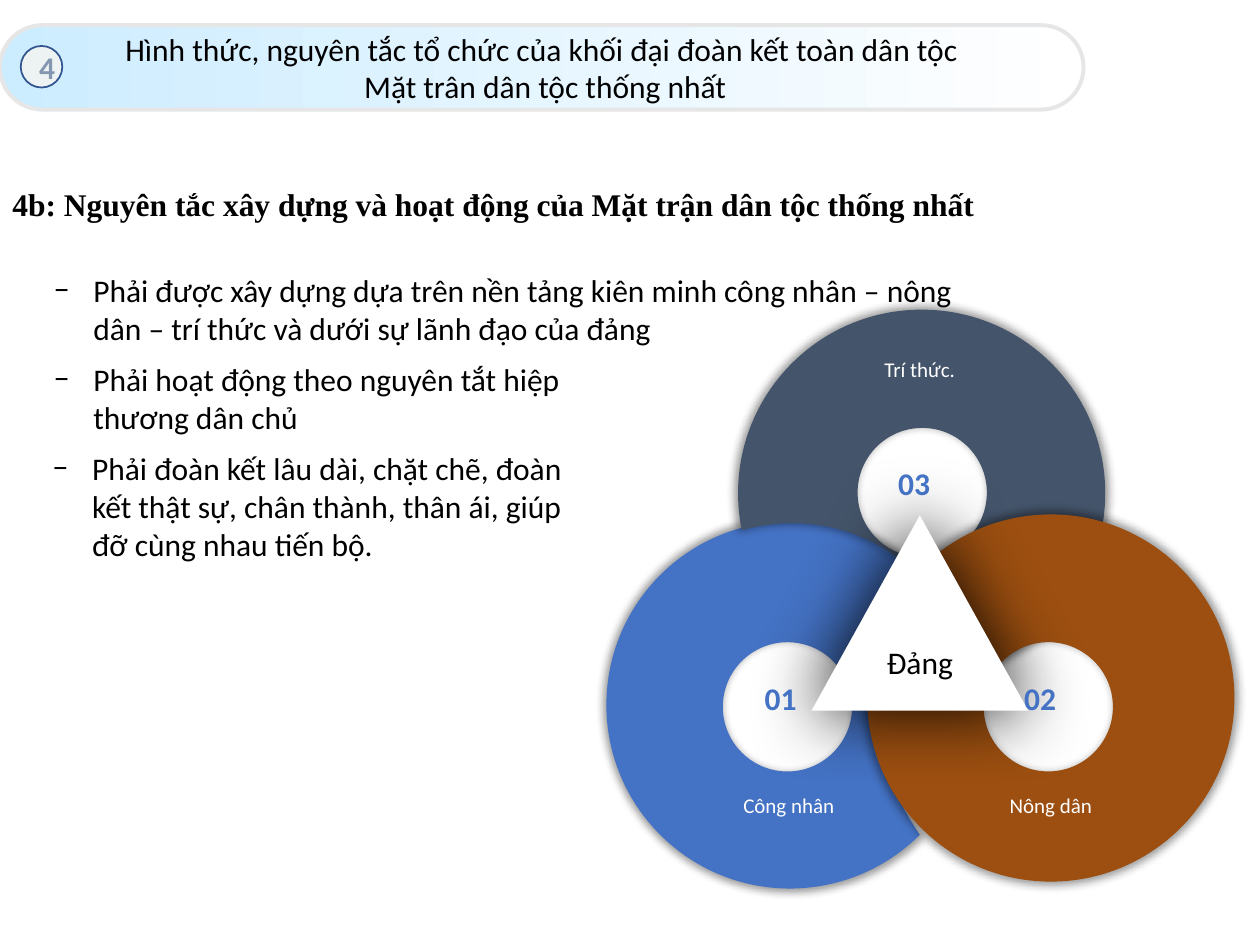
import math
from dataclasses import dataclass

from lxml import etree
from pptx import Presentation
from pptx import util as u
from pptx.dml.color import RGBColor
from pptx.enum import shapes, text
from pptx.oxml.ns import qn


@dataclass(frozen=True)
class Theme:
    body_font: str = "Calibri"
    heading_font: str = "Times New Roman"
    body_size: int = 18
    label_size: int = 12
    black: str = "000000"
    white: str = "FFFFFF"
    sky: str = "CCECFF"
    border: str = "E7E6E6"
    badge: str = "EDF3F3"
    badge_line: str = "325491"
    badge_text: str = "8497B0"
    blue: str = "4472C4"
    slate: str = "44546A"
    brown: str = "9C4F10"


THEME = Theme()
COLUMNS, ROWS = 100, 75
CELL = u.Inches(10) // COLUMNS
RING_RADIUS, HOLE_RADIUS, CUT_RADIUS = 14.57, 5.13, 14
ALIGN = text.PP_ALIGN


def grid(*cells):
    return [round(cell * CELL) for cell in cells]


def color(value):
    return RGBColor.from_string(value)


def write(box, words, ink=THEME.black, size=THEME.body_size,
          font=THEME.body_font, bold=False, align=ALIGN.LEFT):
    frame = box.text_frame
    frame.text = words
    for para in frame.paragraphs:
        para.alignment = align
        for span in para.runs:
            span.font.name = font
            span.font.size = u.Pt(size)
            span.font.bold = bold
            span.font.color.rgb = color(ink)


def add_text(page, place, words, wrap=True, **style):
    box = page.shapes.add_textbox(*grid(*place))
    box.text_frame.word_wrap = wrap
    box.text_frame.auto_size = text.MSO_AUTO_SIZE.SHAPE_TO_FIT_TEXT
    write(box, words, **style)
    return box


def add_bullet(page, place, words):
    box = add_text(page, place, words)
    properties = box.text_frame.paragraphs[0]._p.get_or_add_pPr()
    indent = u.Pt(22.5)
    properties.set("marL", str(indent))
    properties.set("indent", str(-indent))
    etree.SubElement(properties, qn("a:buFont"), typeface=THEME.body_font)
    etree.SubElement(properties, qn("a:buChar"), char="−")


def add_shadow(shape, opacity, blur, scale=100):
    """Surround the shape with a soft black shadow; blur is in points."""
    shape.shadow.inherit = False
    effects = shape._element.spPr.find(qn("a:effectLst"))
    shadow = etree.SubElement(effects, qn("a:outerShdw"),
                              blurRad=str(u.Pt(blur)), dist="0", dir="0",
                              sx=str(scale * 1000), sy=str(scale * 1000),
                              algn="ctr", rotWithShape="0")
    ink = etree.SubElement(shadow, qn("a:srgbClr"), val=THEME.black)
    etree.SubElement(ink, qn("a:alpha"), val=str(opacity * 1000))


def arc(center, radius, start, end):
    """Start point, then Bézier triplets, split wherever the arc meets an axis.

    Angles are in degrees, clockwise from the right.
    """
    low, high = sorted((start, end))
    axes = [a for a in range(-360, 540, 90) if low < a < high]
    stops = sorted([start, *axes, end], reverse=start > end)

    def point(angle, pull=0.0):
        cosine, sine = math.cos(angle), math.sin(angle)
        return grid(center[0] + radius * (cosine - pull * sine),
                    center[1] + radius * (sine + pull * cosine))

    points = [point(math.radians(start))]
    for first, last in zip(stops, stops[1:]):
        a, b = math.radians(first), math.radians(last)
        pull = 4 / 3 * math.tan((b - a) / 4)
        points += [point(a, pull), point(b, -pull), point(b)]
    return points


def bend(shape):
    """Turn each three straight segments of the outline into one curve."""
    lines = list(shape._element.iter(qn("a:lnTo")))
    for i in range(0, len(lines), 3):
        curve = etree.Element(qn("a:cubicBezTo"))
        lines[i].addprevious(curve)
        for line in lines[i:i + 3]:
            curve.append(line[0])
            line.getparent().remove(line)


def add_ring(page, fill, outline, hole_center):
    hole = arc(hole_center, HOLE_RADIUS, 360, 0)
    builder = page.shapes.build_freeform(*outline[0], scale=1.0)
    builder.add_line_segments(outline[1:], close=True)
    builder.move_to(*hole[0])
    builder.add_line_segments(hole[1:], close=True)
    ring = builder.convert_to_shape()
    bend(ring)
    ring.fill.solid()
    ring.fill.fore_color.rgb = color(fill)
    ring.line.fill.background()
    add_shadow(ring, opacity=40, blur=5, scale=102)


def add_rings(page):
    worker, thinker, farmer = (62.7, 55.95), (73.15, 39.15), (83.4, 55.4)
    worker_outline = (arc(worker, RING_RADIUS, -45, -315)
                      + arc((83.5, 56), CUT_RADIUS, 135, 225)[1:])
    thinker_outline = (arc(thinker, RING_RADIUS, 168, 434)
                       + arc((62.9, 56.1), RING_RADIUS, -17, -106)[1:])
    add_ring(page, THEME.blue, worker_outline, (62.5, 56.1))
    add_ring(page, THEME.slate, thinker_outline, (73.2, 39.1))
    add_ring(page, THEME.brown, arc(farmer, RING_RADIUS, 0, 360), (83.2, 56.1))


def add_triangle(page):
    triangle = page.shapes.add_shape(
        shapes.MSO_SHAPE.FLOWCHART_EXTRACT, *grid(64.4, 40.9, 17.2, 15.5))
    triangle.fill.solid()
    triangle.fill.fore_color.rgb = color(THEME.white)
    triangle.line.fill.background()
    add_shadow(triangle, opacity=94, blur=42)
    triangle.text_frame.vertical_anchor = text.MSO_ANCHOR.MIDDLE
    write(triangle, "Đảng", align=ALIGN.CENTER)


def add_header(page):
    header = page.shapes.add_group_shape().shapes
    banner = header.add_shape(shapes.MSO_SHAPE.ROUNDED_RECTANGLE,
                              *grid(0, 2, 86, 6.7))
    banner.adjustments[0] = 0.5
    banner.fill.gradient()
    banner.fill.gradient_angle = 0
    for stop, ink in zip(banner.fill.gradient_stops, (THEME.sky, THEME.white)):
        stop.color.rgb = color(ink)
    banner.line.color.rgb = color(THEME.border)
    banner.line.width = u.Pt(2.25)
    banner.text_frame.word_wrap = False
    write(banner,
          "Hình thức, nguyên tắc tổ chức của khối đại đoàn kết toàn dân tộc\n"
          " Mặt trân dân tộc thống nhất", align=ALIGN.CENTER)

    badge = header.add_shape(shapes.MSO_SHAPE.OVAL, *grid(1.65, 3.65, 3.3, 3.3))
    badge.fill.solid()
    badge.fill.fore_color.rgb = color(THEME.badge)
    badge.line.color.rgb = color(THEME.badge_line)
    badge.line.width = u.Pt(1)
    write(badge, "4", ink=THEME.badge_text, bold=True, align=ALIGN.CENTER)
    for shape in (banner, badge):
        shape.shadow.inherit = False
        shape.text_frame.vertical_anchor = text.MSO_ANCHOR.MIDDLE


def main():
    deck = Presentation()
    deck.slide_width, deck.slide_height = grid(COLUMNS, ROWS)
    page = deck.slides.add_slide(deck.slide_layouts[6])

    add_header(page)
    add_text(page, (0, 14.2, 87.5, 4),
             "4b: Nguyên tắc xây dựng và hoạt động của Mặt trận dân tộc thống nhất",
             font=THEME.heading_font, bold=True)
    for place, words in (
            ((3.3, 21, 75, 7.1),
             "Phải được xây dựng dựa trên nền tảng kiên minh công nhân – "
             "nông dân – trí thức và dưới sự lãnh đạo của đảng"),
            ((3.3, 28.1, 46.7, 7.1),
             "Phải hoạt động theo nguyên tắt hiệp thương dân chủ"),
            ((3.2, 35.15, 43.6, 10.1),
             "Phải đoàn kết lâu dài, chặt chẽ, đoàn kết thật sự, "
             "chân thành, thân ái, giúp đỡ cùng nhau tiến bộ.")):
        add_bullet(page, place, words)

    add_rings(page)
    add_triangle(page)
    for number, left, top in (("01", 59.7, 53.4), ("02", 80.3, 53.4),
                              ("03", 70.3, 36.3)):
        add_text(page, (left, top, 5.8, 5), number, wrap=False,
                 ink=THEME.blue, bold=True)
    for label, left, top in (("Nông dân", 76.3, 62.4), ("Công nhân", 55.5, 62.4),
                             ("Trí thức.", 65.9, 27.8)):
        add_text(page, (left, top, 14.2, 3), label, ink=THEME.white,
                 size=THEME.label_size, align=ALIGN.CENTER)

    deck.save("out.pptx")


if __name__ == "__main__":
    main()
